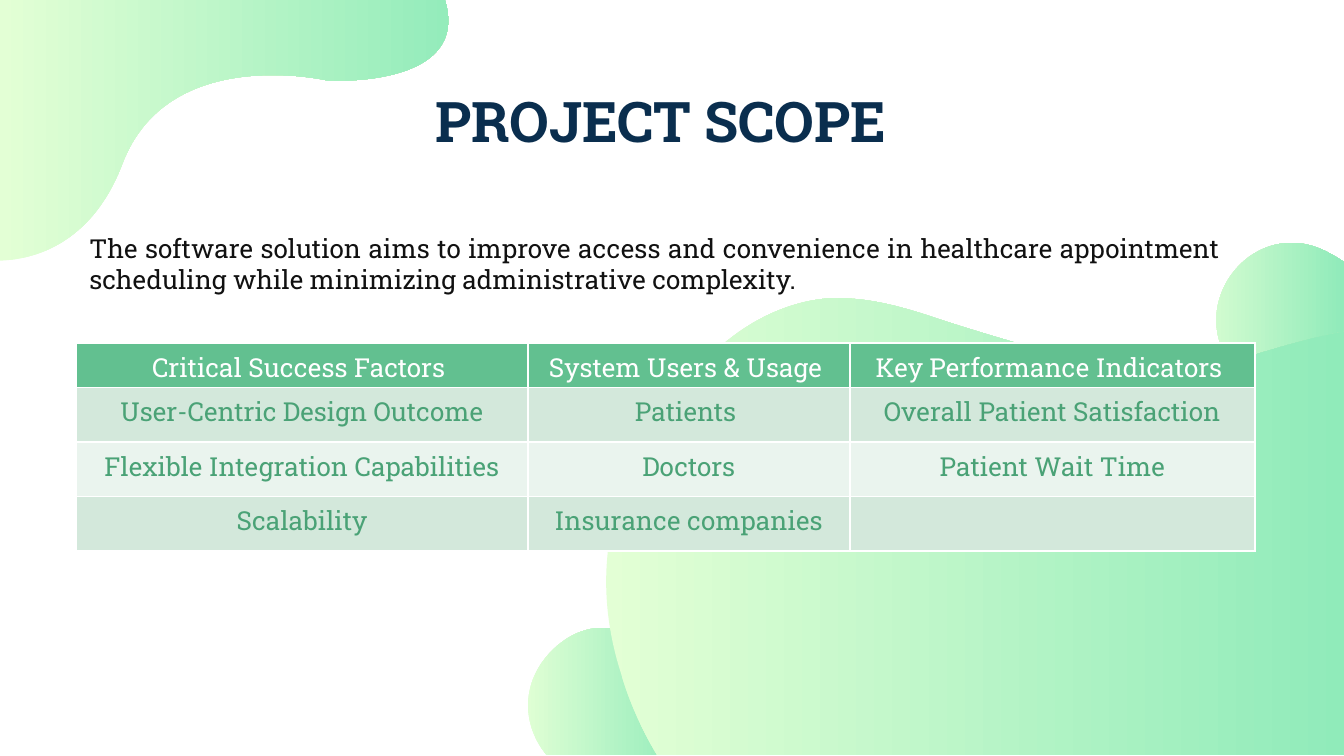
from dataclasses import dataclass

from lxml.etree import SubElement
from pptx import Presentation
from pptx.dml.color import RGBColor
from pptx.enum.text import MSO_ANCHOR, MSO_AUTO_SIZE, PP_ALIGN
from pptx.oxml.ns import qn
from pptx.shapes.autoshape import Shape
from pptx.slide import Slide
from pptx.table import _Cell as Cell
from pptx.text.text import _Paragraph as Paragraph
from pptx.util import Cm, Pt


@dataclass(frozen=True)
class Theme:
    font: str = "Roboto Slab"
    title_size: int = 30
    text_size: int = 14
    title: str = "0A2E4E"
    body: str = "111111"
    white: str = "FFFFFF"
    header_fill: str = "62C090"
    cell_text: str = "4AA276"
    row_fills: tuple[str, str] = ("D3E8DB", "EAF4EE")
    gradient: tuple[str, str] = ("E3FFD5", "90EBBA")


@dataclass(frozen=True)
class Blob:
    """Outline on a fine grid: a segment of two numbers is a line, of six a Bézier curve."""

    start: tuple[int, int]
    segments: tuple[tuple[int, ...], ...]
    closed: bool = False


THEME = Theme()
GRID = Cm(2.54) / 100

BLOBS = (
    Blob((995, 284), (
        (996, 283, 998, 281, 1000, 279),
        (999, 279, 1000, 196, 1000, 195),
        (997, 193, 994, 191, 990, 189),
        (935, 157, 879, 225, 918, 274),
        (942, 305, 973, 301, 995, 284),
    )),
    Blob((502, 504), (
        (487, 471, 443, 450, 409, 486),
        (386, 511, 390, 542, 407, 562),
        (407, 562, 496, 562, 495, 562),
        (512, 545, 512, 523, 502, 504),
    )),
    Blob((617, 222), (
        (578, 225, 543, 247, 518, 276),
        (506, 289, 496, 303, 487, 317),
        (468, 348, 455, 376, 452, 413),
        (449, 443, 453, 473, 462, 501),
        (468, 522, 478, 544, 489, 562),
        (1000, 562),
        (1000, 562, 999, 246, 1000, 247),
        (951, 255, 902, 279, 855, 279),
        (828, 280, 804, 270, 779, 262),
        (752, 254, 724, 246, 697, 237),
        (673, 229, 649, 222, 624, 222),
        (622, 222, 619, 222, 617, 222),
    )),
    Blob((0, 194), (
        (25, 193, 68, 182, 91, 122),
        (125, 32, 244, 60, 244, 60),
        (244, 60, 351, 66, 331, 0),
        (0, 0),
        (0, 0, 0, 194, 0, 194),
    ), closed=True),
)

# Some entries end in a space, which counts when the text is centred.
TABLE_ROWS = (
    ("Critical Success Factors ", "System Users & Usage ", "Key Performance Indicators "),
    ("User-Centric Design Outcome", "Patients ", "Overall Patient Satisfaction"),
    ("Flexible Integration Capabilities", "Doctors", "Patient Wait Time"),
    ("Scalability", "Insurance companies", ""),
)
COLUMN_WIDTHS = (8.54, 6.08, 7.66)
HEADER_HEIGHT, ROW_HEIGHT = 0.79, 1.03


def bend_segments(shape: Shape, blob: Blob) -> None:
    """Turn each run of three straight segments that stands for a curve into a Bézier."""
    lines = iter(list(shape.element.iter(qn("a:lnTo"))))
    for segment in blob.segments:
        first = next(lines)
        if len(segment) == 6:
            first.tag = qn("a:cubicBezTo")
            for _ in range(2):
                line = next(lines)
                first.append(line[0])
                line.getparent().remove(line)


def draw_blob(slide: Slide, blob: Blob) -> None:
    builder = slide.shapes.build_freeform(*blob.start, scale=GRID)
    for segment in blob.segments:
        builder.add_line_segments(list(zip(segment[::2], segment[1::2])), close=False)
    if blob.closed:
        builder.add_line_segments([], close=True)
    shape = builder.convert_to_shape()
    bend_segments(shape, blob)
    shape.shadow.inherit = False
    shape.line.fill.background()
    shape.fill.gradient()
    shape.fill.gradient_angle = 0
    for stop, color in zip(shape.fill.gradient_stops, THEME.gradient):
        stop.color.rgb = RGBColor.from_string(color)


def format_paragraph(paragraph: Paragraph, size: int, color: str,
                     alignment: PP_ALIGN, bold: bool = False) -> None:
    paragraph.alignment = alignment
    for run in paragraph.runs:
        run.font.name = THEME.font
        run.font.size = Pt(size)
        run.font.bold = bold
        run.font.color.rgb = RGBColor.from_string(color)


def draw_title(slide: Slide, text: str) -> None:
    title = slide.shapes.title
    title.left, title.top, title.width, title.height = Cm(1.82), Cm(1.39), Cm(21.34), Cm(2.21)
    # Bring the placeholder in front of the blobs.
    title.element.getparent().append(title.element)
    frame = title.text_frame
    frame.text = text
    frame.auto_size = MSO_AUTO_SIZE.NONE
    frame.vertical_anchor = MSO_ANCHOR.TOP
    frame.margin_left = frame.margin_top = frame.margin_right = frame.margin_bottom = Cm(0.25)
    format_paragraph(frame.paragraphs[0], THEME.title_size, THEME.title, PP_ALIGN.CENTER, True)


def draw_summary(slide: Slide, text: str) -> None:
    frame = slide.shapes.add_textbox(Cm(1.44), Cm(4.27), Cm(21.87), Cm(1.45)).text_frame
    frame.word_wrap = True
    frame.auto_size = MSO_AUTO_SIZE.SHAPE_TO_FIT_TEXT
    frame.text = text
    format_paragraph(frame.paragraphs[0], THEME.text_size, THEME.body, PP_ALIGN.JUSTIFY)


def format_cell(cell: Cell, fill: str, color: str) -> None:
    format_paragraph(cell.text_frame.paragraphs[0], THEME.text_size, color, PP_ALIGN.CENTER)
    properties = cell._tc.get_or_add_tcPr()
    for side in ("lnL", "lnR", "lnT", "lnB"):
        border = SubElement(properties, qn(f"a:{side}"), w=str(Pt(1)))
        solid = SubElement(border, qn("a:solidFill"))
        SubElement(solid, qn("a:srgbClr"), val=THEME.white)
    cell.fill.solid()
    cell.fill.fore_color.rgb = RGBColor.from_string(fill)


def draw_table(slide: Slide) -> None:
    heights = [HEADER_HEIGHT] + [ROW_HEIGHT] * (len(TABLE_ROWS) - 1)
    table = slide.shapes.add_table(
        len(TABLE_ROWS), len(COLUMN_WIDTHS), Cm(1.44), Cm(6.48),
        Cm(sum(COLUMN_WIDTHS)), Cm(sum(heights))).table
    for column, width in zip(table.columns, COLUMN_WIDTHS):
        column.width = Cm(width)
    for index, (row, height, texts) in enumerate(zip(table.rows, heights, TABLE_ROWS)):
        row.height = Cm(height)
        fill = THEME.row_fills[(index - 1) % 2] if index else THEME.header_fill
        color = THEME.cell_text if index else THEME.white
        for cell, text in zip(row.cells, texts):
            cell.text = text
            format_cell(cell, fill, color)


def main() -> None:
    presentation = Presentation()
    presentation.slide_width, presentation.slide_height = Cm(25.4), Cm(14.29)
    slide = presentation.slides.add_slide(presentation.slide_layouts.get_by_name("Title Only"))
    for blob in BLOBS:
        draw_blob(slide, blob)
    draw_title(slide, "PROJECT SCOPE")
    draw_summary(slide, "The software solution aims to improve access and convenience in healthcare "
                        "appointment scheduling while minimizing administrative complexity.")
    draw_table(slide)
    presentation.save("out.pptx")


if __name__ == "__main__":
    main()
